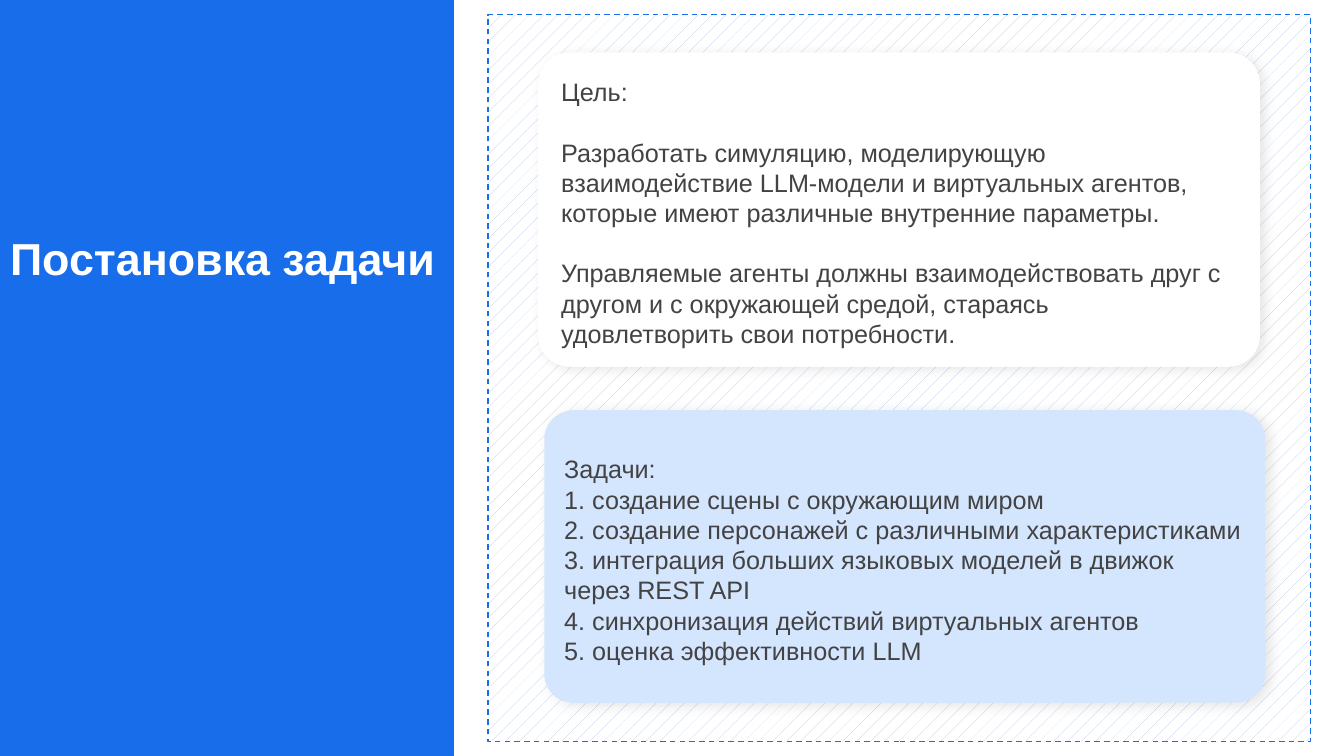
from lxml import etree
from pptx import Presentation
from pptx.dml.color import RGBColor
from pptx.enum import dml, shapes, text
from pptx.oxml import ns
from pptx.util import Pt

BLUE = RGBColor(0x17, 0x6D, 0xEA)
PALE_BLUE = RGBColor(0xD4, 0xE5, 0xFE)
HATCH = RGBColor(0xB4, 0xC7, 0xE7)
WHITE = RGBColor(0xFF, 0xFF, 0xFF)
GREY = RGBColor(0x43, 0x43, 0x43)
LINE_HEIGHT = 21.6

GOAL = [
    "Цель:",
    "Разработать симуляцию, моделирующую взаимодействие LLM-модели и "
    "виртуальных агентов, которые имеют различные внутренние параметры.",
    "Управляемые агенты должны взаимодействовать друг с другом и с "
    "окружающей средой, стараясь удовлетворить свои потребности.",
]
TASKS = [
    "Задачи:",
    "1. создание сцены с окружающим миром",
    "2. создание персонажей с различными характеристиками",
    "3. интеграция больших языковых моделей в движок через REST API",
    "4. синхронизация действий виртуальных агентов",
    "5. оценка эффективности LLM",
]


def add_card(left, top, width, height, color):
    """Rounded card with a soft shadow."""
    card = slide.shapes.add_shape(shapes.MSO_SHAPE.ROUNDED_RECTANGLE,
                                  Pt(left), Pt(top), Pt(width), Pt(height))
    card.adjustments[0] = 0.1
    card.fill.solid()
    card.fill.fore_color.rgb = color
    card.line.fill.background()
    card.shadow.inherit = False
    effects = card._element.spPr.find(ns.qn("a:effectLst"))
    shadow = etree.SubElement(effects, ns.qn("a:outerShdw"), blurRad=str(Pt(9)),
                              dist=str(Pt(3.8)), dir=str(28 * 60000),
                              algn="tl", rotWithShape="0")
    shade = etree.SubElement(shadow, ns.qn("a:srgbClr"), val="000000")
    etree.SubElement(shade, ns.qn("a:alpha"), val="9000")


def write_text(box, lines, gap):
    """Left-aligned grey paragraphs separated by gap points."""
    frame = box.text_frame
    frame.word_wrap = True
    frame.auto_size = text.MSO_AUTO_SIZE.NONE
    frame.vertical_anchor = text.MSO_ANCHOR.TOP
    frame.text = "\n".join(lines)
    for number, paragraph in enumerate(frame.paragraphs):
        paragraph.alignment = text.PP_ALIGN.LEFT
        paragraph.line_spacing = Pt(LINE_HEIGHT)
        paragraph.space_before = Pt(gap if number else 0)
        paragraph.font.name = "Arial"
        paragraph.font.size = Pt(18)
        paragraph.font.color.rgb = GREY


prs = Presentation()
prs.slide_width, prs.slide_height = Pt(960), Pt(540)
slide = prs.slides.add_slide(prs.slide_layouts[0])
title, tasks = slide.placeholders

# Hatched area with a dashed frame
area = slide.shapes.add_shape(shapes.MSO_SHAPE.RECTANGLE,
                              Pt(348.5), Pt(10.5), Pt(587.5), Pt(519))
area.fill.patterned()
area.fill.pattern = dml.MSO_PATTERN.PERCENT_5
area.fill.fore_color.rgb = HATCH
area.fill.back_color.rgb = WHITE
area.line.color.rgb = BLUE
area.line.width = Pt(1)
area.line.dash_style = dml.MSO_LINE.DASH
area.shadow.inherit = False

# Blue side panel
panel = slide.shapes.add_shape(shapes.MSO_SHAPE.PARALLELOGRAM,
                               0, 0, Pt(324), Pt(543))
panel.adjustments[0] = 0
panel.fill.solid()
panel.fill.fore_color.rgb = BLUE
panel.line.fill.background()
panel.shadow.inherit = False

# Title, raised above the panel
slide.shapes._spTree.append(title._element)
title.left, title.top, title.width, title.height = 0, Pt(117.5), Pt(324), Pt(137.5)
title.text_frame.text = "Постановка задачи"
title.text_frame.vertical_anchor = text.MSO_ANCHOR.MIDDLE
title.text_frame.auto_size = text.MSO_AUTO_SIZE.NONE
heading = title.text_frame.paragraphs[0]
heading.alignment = text.PP_ALIGN.LEFT
heading.line_spacing = 0.9
heading.font.name = "Arial"
heading.font.size = Pt(32)
heading.font.bold = True
heading.font.color.rgb = WHITE

# Goal card
add_card(384.5, 37.5, 515.5, 224.5, WHITE)
goal = slide.shapes.add_textbox(Pt(393.8), Pt(51), Pt(487.5), Pt(204))
write_text(goal, GOAL, LINE_HEIGHT)

# Tasks card, with the list raised above it
add_card(388.8, 293, 515, 209, PALE_BLUE)
slide.shapes._spTree.append(tasks._element)
tasks.left, tasks.top, tasks.width, tasks.height = Pt(395.8), Pt(320.5), Pt(498.5), Pt(160)
write_text(tasks, TASKS, 0)

prs.save("out.pptx")
